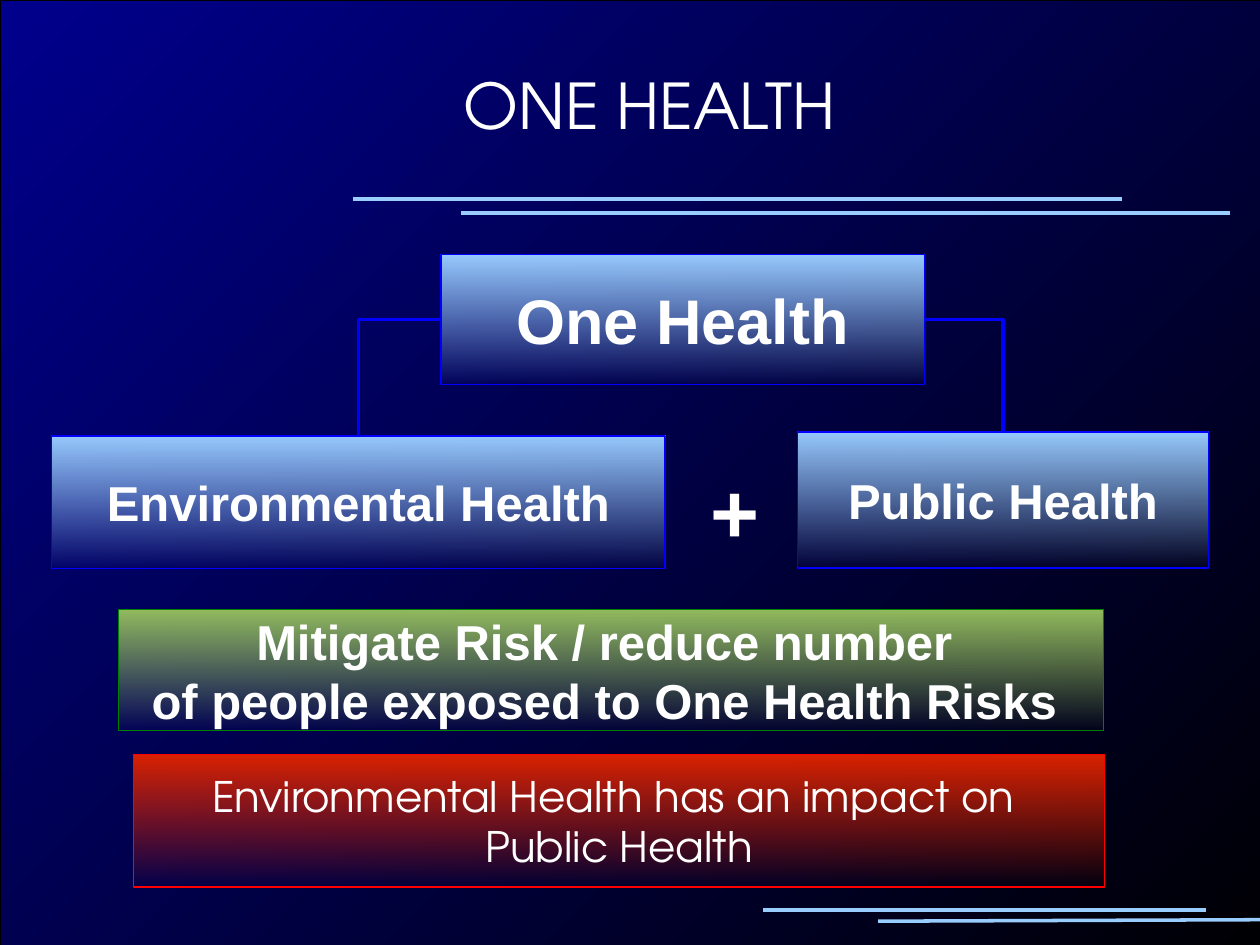
import pptx
import pptx.util
import pptx.dml.color
import pptx.enum.shapes
import pptx.enum.text
import pptx.oxml.ns
from lxml import etree

Cm, Pt = pptx.util.Cm, pptx.util.Pt
qn = pptx.oxml.ns.qn
CENTER = pptx.enum.text.PP_ALIGN.CENTER
TOP = pptx.enum.text.MSO_ANCHOR.TOP
MIDDLE = pptx.enum.text.MSO_ANCHOR.MIDDLE
SANS, GEOMETRIC = "Arial", "TeX Gyre Adventor"
WHITE, PALE_BLUE, BLUE = "FFFFFF", "99CCFF", "0000FF"

# All positions and sizes are in centimetres.
TITLE = ("ONE HEALTH", (0.41, 1.35, 24.79, 2.36))
RULES = [  # x1, y1, x2, y2
    (7.11, 4.01, 22.61, 4.01),
    (9.3, 4.29, 24.79, 4.29),
    (15.39, 18.34, 24.31, 18.34),
    (17.7, 18.57, 25.4, 18.54),
]
ONE_HEALTH = (8.89, 5.13, 9.75, 2.62)
ENVIRONMENTAL = (1.04, 8.79, 12.37, 2.67)
PUBLIC = (16.08, 8.71, 8.28, 2.74)
BOXES = [  # lines, place, fill, outline, font, size, bold
    (["One Health"], ONE_HEALTH, PALE_BLUE, BLUE, SANS, 36, True),
    (["Environmental Health"], ENVIRONMENTAL, PALE_BLUE, BLUE, SANS, 28, True),
    (["Public Health"], PUBLIC, PALE_BLUE, BLUE, SANS, 28, True),
    (["Environmental Health has an impact on ", "Public Health"],
     (2.69, 15.21, 19.58, 2.67), "DC2300", "FF0000", GEOMETRIC, 24, False),
    (["Mitigate Risk / reduce number ", "of people exposed to One Health Risks "],
     (2.39, 12.29, 19.86, 2.44), "94BD5E", "008000", SANS, 28, True),
]
PLUS = ("+", (13.64, 9.14, 2.34, 2.13))
FOOTER = ("---", (-0.18, 18.46, 17.6, 0.9))


def color(hex_code):
    return pptx.dml.color.RGBColor.from_string(hex_code)


def lengths(values):
    return [Cm(value) for value in values]


def set_outline(part, hex_code):
    part.line.color.rgb = color(hex_code)
    part.line.width = Pt(0)


def write(frame, lines, font, size, hex_code=WHITE, bold=False):
    paragraph = frame.paragraphs[0]
    paragraph.alignment = CENTER
    for number, line in enumerate(lines):
        if number:
            paragraph.add_line_break()
        run = paragraph.add_run()
        run.text = line
        run.font.name = font
        run.font.size = Pt(size)
        run.font.bold = bold
        run.font.color.rgb = color(hex_code)
    return paragraph


def add_gradient_box(slide, place, start, end, outline):
    box = slide.shapes.add_shape(
        pptx.enum.shapes.MSO_SHAPE.RECTANGLE, *lengths(place))
    box.shadow.inherit = False
    box.fill.gradient()
    box.fill.gradient_angle = 270
    for stop, hex_code in zip(box.fill.gradient_stops, (start, end)):
        stop.color.rgb = color(hex_code)
    set_outline(box, outline)
    return box


def add_backdrop(slide):
    """Radial gradient spreading from the top left corner, behind the title."""
    backdrop = add_gradient_box(
        slide, (0, 0, 26.42, 19.23), "00008C", "000000", "000000")
    linear = backdrop.element.find(".//" + qn("a:lin"))
    radial = etree.Element(qn("a:path"), {"path": "circle"})
    etree.SubElement(radial, qn("a:fillToRect"), r="100000", b="100000")
    linear.getparent().replace(linear, radial)
    slide.shapes.title.element.addprevious(backdrop.element)


def add_fading_box(slide, lines, place, fill, outline, font, size, bold):
    """Box whose fill fades to fully transparent at the bottom."""
    box = add_gradient_box(slide, place, fill, fill, outline)
    last_stop = box.element.findall(".//" + qn("a:gs"))[-1]
    etree.SubElement(last_stop[0], qn("a:alpha"), val="0")
    box.text_frame.word_wrap = False
    box.text_frame.vertical_anchor = MIDDLE
    write(box.text_frame, lines, font, size, bold=bold)


def add_line(slide, kind, ends, hex_code):
    line = slide.shapes.add_connector(kind, *lengths(ends))
    set_outline(line, hex_code)
    etree.SubElement(line.element.spPr, qn("a:effectLst"))
    return line


def add_branch(slide, child, parent):
    """Elbow from the child's top centre up and across to the parent's side."""
    x, y = child[0] + child[2] / 2, child[1]
    on_left = x < parent[0]
    side_x = parent[0] if on_left else parent[0] + parent[2]
    side_y = parent[1] + parent[3] / 2
    middle_x, middle_y = (x + side_x) / 2, (y + side_y) / 2
    half_w, half_h = (y - side_y) / 2, abs(x - side_x) / 2
    # The elbow is turned a quarter, so its width runs along the drop.
    reach = half_w if on_left else -half_w
    ends = (middle_x + reach, middle_y + half_h,
            middle_x - reach, middle_y - half_h)
    branch = add_line(slide, pptx.enum.shapes.MSO_CONNECTOR.ELBOW, ends, BLUE)
    properties = branch.element.spPr
    properties.find(qn("a:xfrm")).set("rot", str((90 if on_left else 270) * 60000))
    properties.find(qn("a:prstGeom")).set("prst", "bentConnector2")


def add_label(slide, text, place, size, hex_code, bold=False):
    label = slide.shapes.add_textbox(*lengths(place))
    label.text_frame.word_wrap = True
    write(label.text_frame, [text], SANS, size, hex_code, bold)
    return label


def place_title(slide, text, place):
    title = slide.shapes.title
    title.left, title.top, title.width, title.height = lengths(place)
    frame = title.text_frame
    frame.margin_left = frame.margin_right = 0
    frame.margin_top = frame.margin_bottom = 0
    frame.vertical_anchor = TOP
    frame.word_wrap = True
    paragraph = write(frame, [text], GEOMETRIC, 36)
    paragraph.space_before = Pt(8)
    indents = paragraph.runs[0].font  # keeps the run formatted before indenting
    indents.italic = False
    properties = paragraph.runs[0]._r.getparent().find(qn("a:pPr"))
    properties.set("marL", str(Cm(1.19)))
    properties.set("indent", str(Cm(-0.6)))


def main():
    deck = pptx.Presentation()
    deck.slide_width, deck.slide_height = Cm(25.4), Cm(19.05)
    slide = deck.slides.add_slide(deck.slide_layouts[5])
    slide.background.fill.solid()
    slide.background.fill.fore_color.rgb = color("000066")
    place_title(slide, *TITLE)
    add_backdrop(slide)
    footer = add_label(slide, *FOOTER, 10, PALE_BLUE)
    footer.text_frame.margin_top = Cm(0.53)
    for ends in RULES:
        add_line(slide, pptx.enum.shapes.MSO_CONNECTOR.STRAIGHT, ends, PALE_BLUE)
    for box in BOXES:
        add_fading_box(slide, *box)
    for child in (ENVIRONMENTAL, PUBLIC):
        add_branch(slide, child, ONE_HEALTH)
    add_label(slide, *PLUS, 48, WHITE, bold=True)
    deck.save("out.pptx")


if __name__ == "__main__":
    main()
